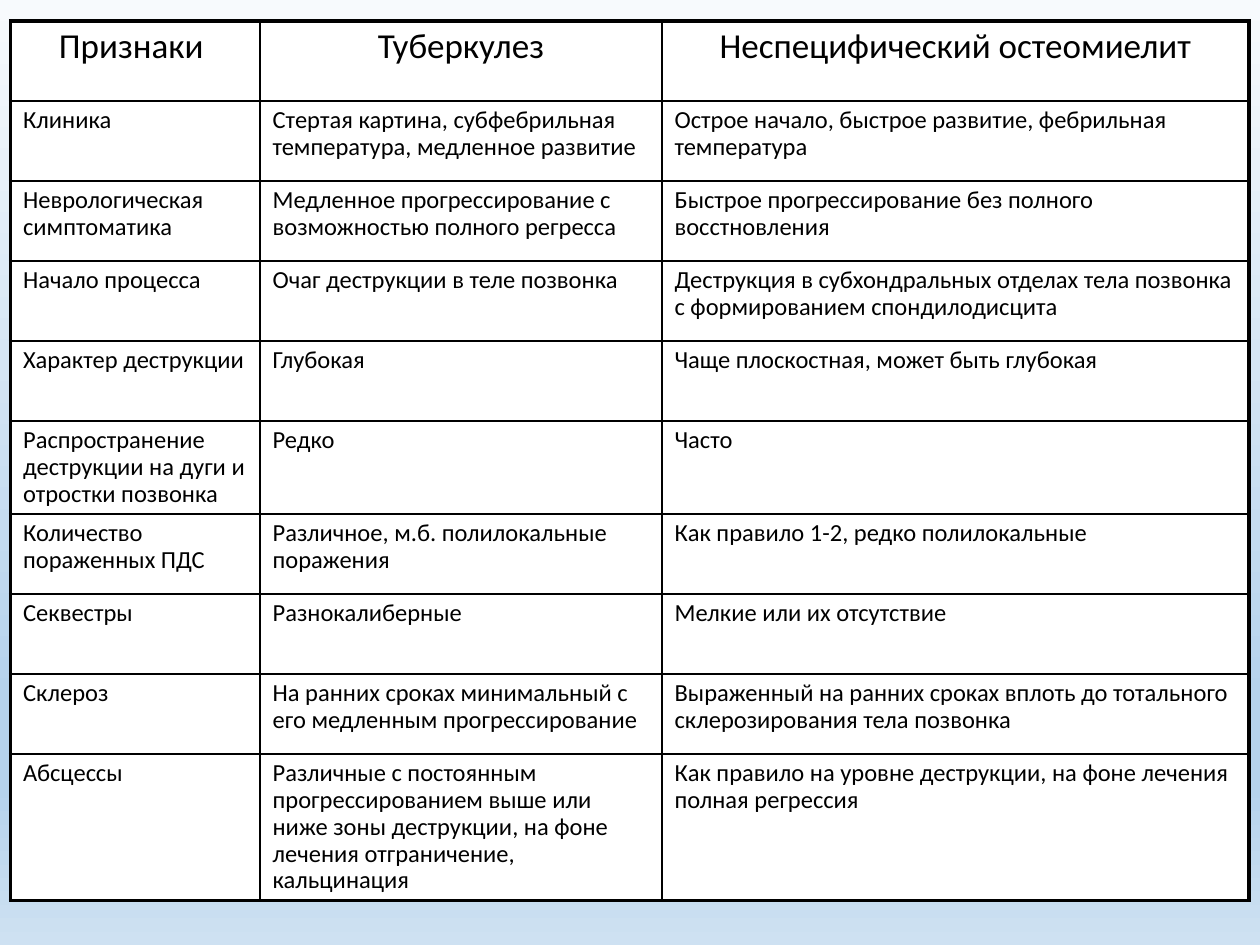
"""Build a slide with a table comparing tuberculosis and nonspecific osteomyelitis."""
from copy import deepcopy

from lxml.etree import SubElement as Sub
from pptx import Presentation
from pptx.dml.color import RGBColor as Rgb
from pptx.enum.text import PP_ALIGN as Align
from pptx.oxml.ns import qn
from pptx.util import Pt

HEAD = ["Признаки ", "Туберкулез", "Неспецифический остеомиелит"]
BODY = [
    ["Клиника",
     "Стертая картина, субфебрильная температура, медленное развитие",
     "Острое начало, быстрое развитие, фебрильная температура"],
    ["Неврологическая симптоматика",
     "Медленное прогрессирование с возможностью полного регресса",
     "Быстрое прогрессирование без полного восстновления"],
    ["Начало процесса",
     "Очаг деструкции в теле позвонка",
     "Деструкция в субхондральных отделах тела позвонка с формированием спондилодисцита"],
    ["Характер деструкции",
     "Глубокая",
     "Чаще плоскостная, может быть глубокая"],
    ["Распространение деструкции на дуги и отростки позвонка",
     "Редко",
     "Часто"],
    ["Количество пораженных ПДС",
     "Различное, м.б. полилокальные поражения",
     "Как правило 1-2, редко полилокальные"],
    ["Секвестры",
     "Разнокалиберные",
     "Мелкие или их отсутствие"],
    ["Склероз",
     "На ранних сроках минимальный с его медленным прогрессирование",
     "Выраженный на ранних сроках вплоть до тотального склерозирования тела позвонка"],
    ["Абсцессы",
     "Различные с постоянным прогрессированием выше или ниже зоны деструкции, "
     "на фоне лечения отграничение, кальцинация",
     "Как правило на уровне деструкции, на фоне лечения полная регрессия"],
]
ROWS = [HEAD] + BODY
WIDTHS = [142.6, 229.7, 335.5]
LEFT, TOP, ROW_H = 6, 12, 45.72
THICK, THIN = 2.25, 1
COLORS = {"ink": "000000", "cell": "FFFFFF",
          "pale": "F7FAFD", "sky": "B5D2EC", "mist": "CEE1F2"}
STOPS = [(0, "pale"), (74, "sky"), (83, "sky"), (100, "mist")]


def color(name):
    return Rgb.from_string(COLORS[name])


def write(frame, text, size=14, align=Align.LEFT):
    para = frame.paragraphs[0]
    para.alignment = align
    para.line_spacing = 0.9
    run = para.add_run()
    run.text = text
    run.font.name = "Calibri"
    run.font.size = Pt(size)
    run.font.color.rgb = color("ink")


def border(cell, outer):
    props = cell._tc.get_or_add_tcPr()
    for side, edge in outer.items():
        width = Pt(THICK if edge else THIN)
        line = Sub(props, qn(f"a:ln{side}"), w=str(width))
        Sub(Sub(line, qn("a:solidFill")), qn("a:srgbClr"), val=COLORS["ink"])


def paint(slide):
    fill = slide.background.fill
    fill.gradient()
    fill.gradient_angle = 270
    stops = slide.element.find(".//" + qn("a:gsLst"))
    stops.extend([deepcopy(stops[0]), deepcopy(stops[1])])
    for stop, (place, name) in zip(fill.gradient_stops, STOPS):
        stop.position = place / 100
        stop.color.rgb = color(name)


def fill_table(slide):
    frame = slide.shapes.add_table(
        len(ROWS), len(WIDTHS), Pt(LEFT), Pt(TOP),
        Pt(sum(WIDTHS)), Pt(ROW_H * len(ROWS)))
    table = frame.table
    for col, width in zip(table.columns, WIDTHS):
        col.width = Pt(width)
    for r, texts in enumerate(ROWS):
        table.rows[r].height = Pt(ROW_H)
        look = {"size": 20, "align": Align.CENTER} if r == 0 else {}
        for c, text in enumerate(texts):
            cell = table.cell(r, c)
            write(cell.text_frame, text, **look)
            border(cell, {"L": c == 0, "R": c == len(WIDTHS) - 1,
                          "T": r == 0, "B": r == len(ROWS) - 1})
            cell.fill.solid()
            cell.fill.fore_color.rgb = color("cell")


def main():
    deck = Presentation()
    deck.slide_width, deck.slide_height = Pt(720), Pt(540)
    slide = deck.slides.add_slide(deck.slide_layouts[6])
    paint(slide)
    fill_table(slide)
    deck.save("out.pptx")


if __name__ == "__main__":
    main()
